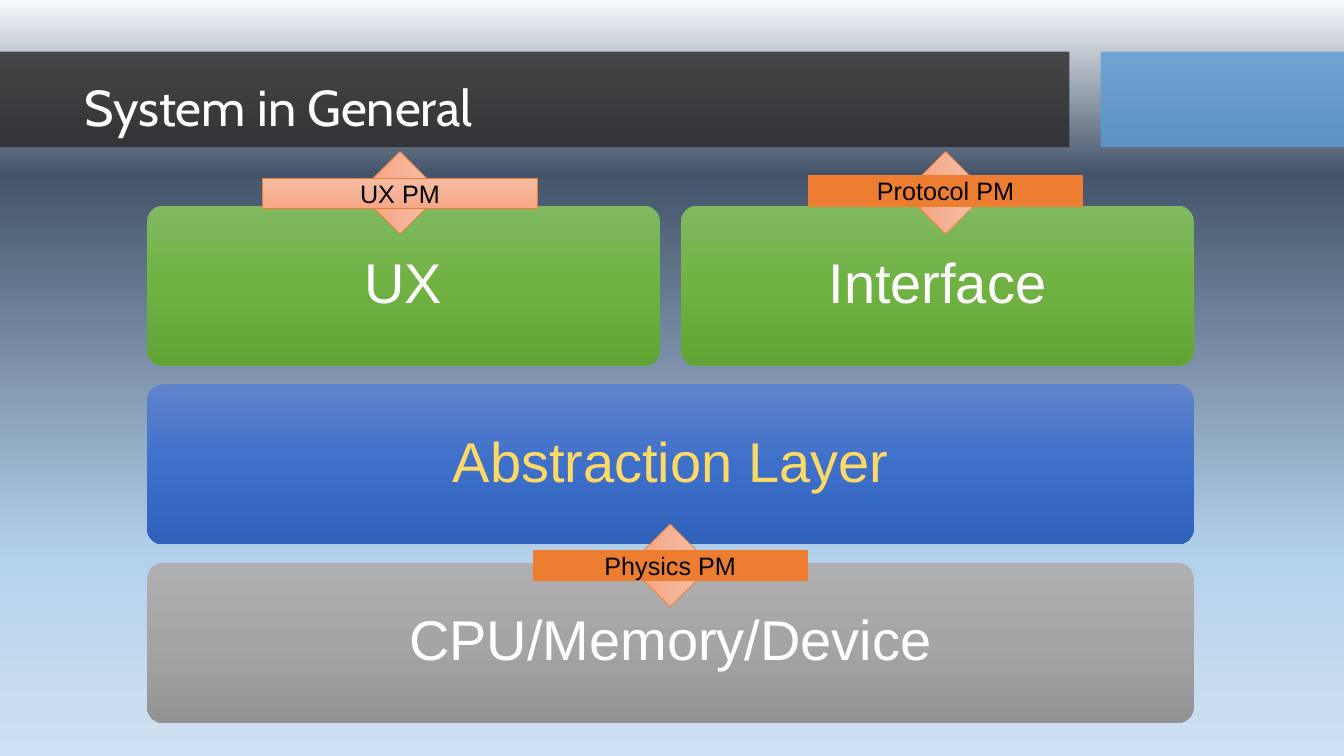
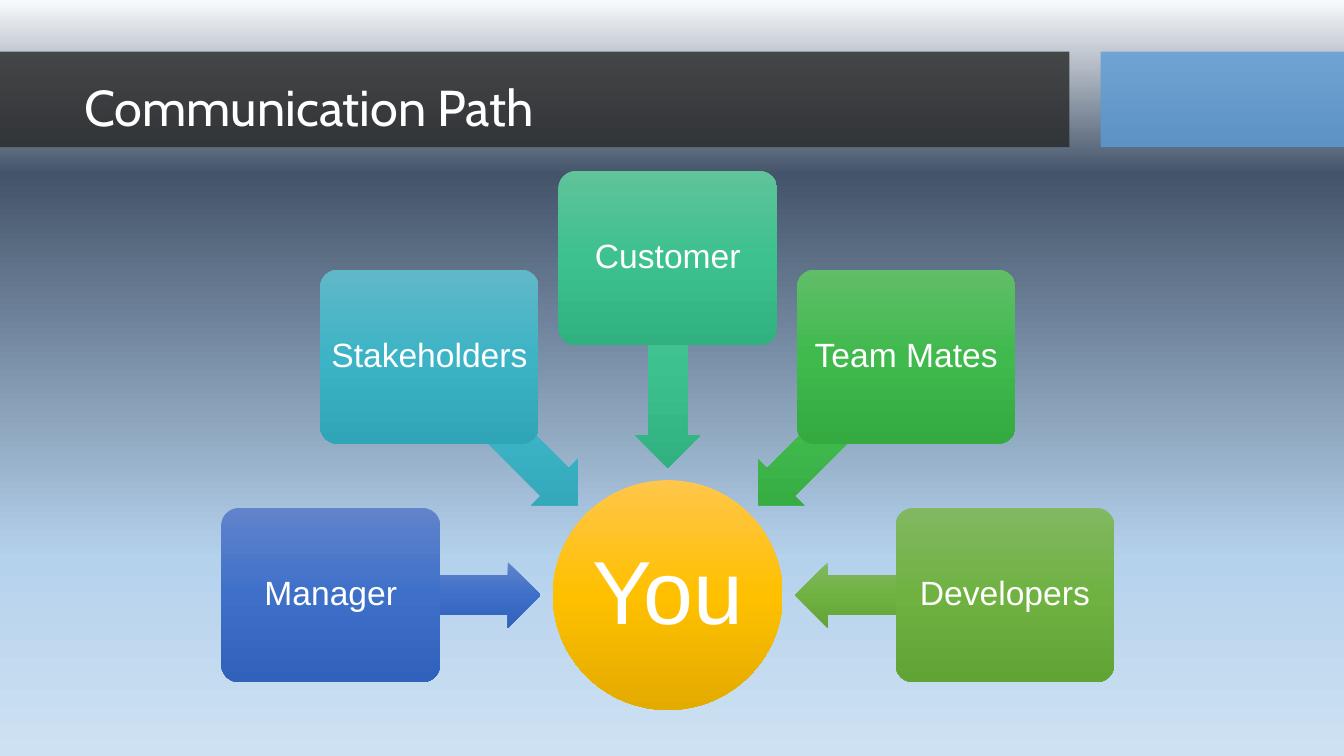
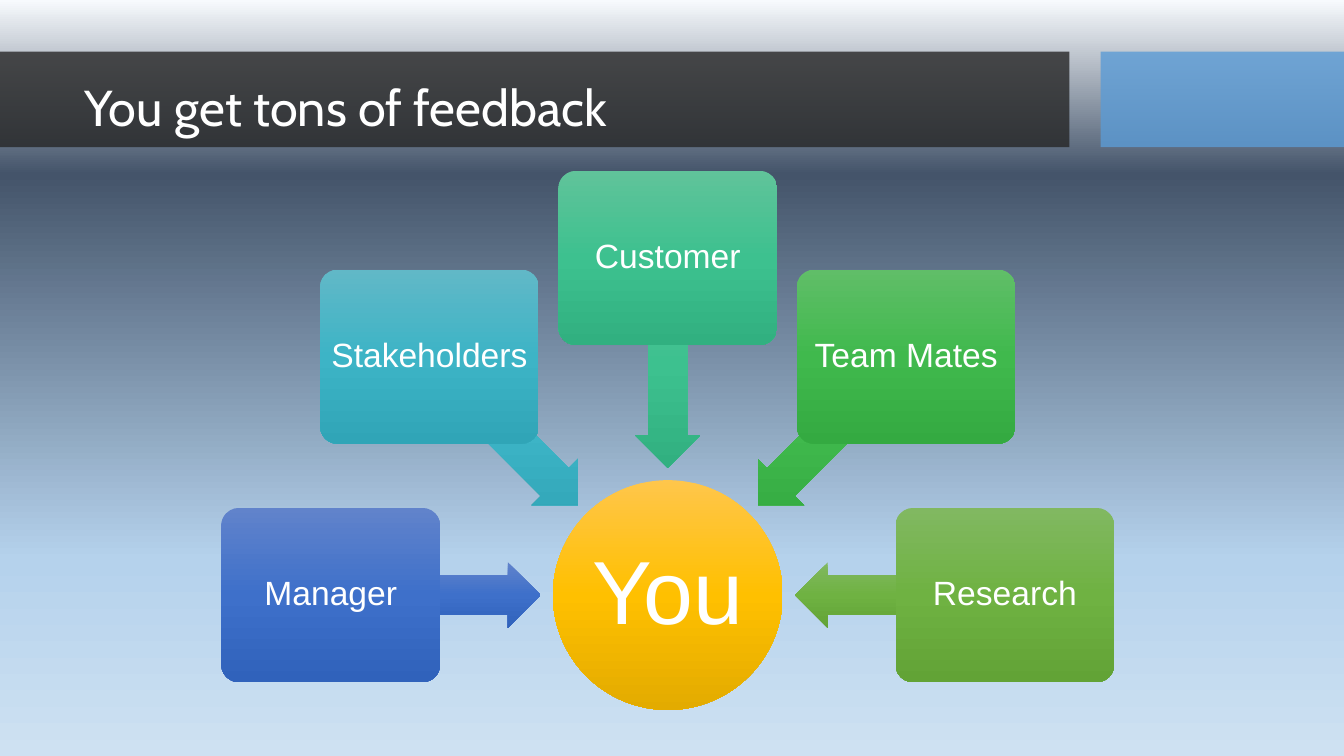
import math

from lxml import etree
from pptx import Presentation
from pptx import util as u
from pptx.dml import color
from pptx.enum import shapes, text
from pptx.oxml import ns

COLORS = {
    "white": "FFFFFF",
    "black": "000000",
    "gold": "FFD966",
    "orange": "ED7D31",
    "title_band": "262626",
    "accent_band": "5B9BD5",
}
GRADIENTS = {
    "sky": {0: "F7FAFD", 23: "44546A", 74: "B5D2EC", 100: "CEE1F2"},
    "gray": {0: "AFAFAF", 50: "A5A5A5", 100: "939393"},
    "blue": {0: "6183CB", 50: "3E70CA", 100: "3062BB"},
    "teal": {0: "61B8C7", 50: "3DB4C6", 100: "30A5B7"},
    "mint": {0: "60C39A", 50: "3DC18F", 100: "31B080"},
    "emerald": {0: "60BE68", 50: "40B94D", 100: "34AA41"},
    "green": {0: "81B861", 50: "6FB242", 100: "62A336"},
    "amber": {0: "FFC64B", 50: "FFC000", 100: "E3AB00"},
    "peach": {0: "F7BDA5", 50: "F5B196", 100: "F8A582"},
}
FONTS = {
    "title": {"name": "Cabin", "size": u.Pt(36)},
    "layer": {"name": "Arial", "size": u.Pt(40)},
    "hub": {"name": "Arial", "size": u.Pt(64)},
    "node": {"name": "Arial", "size": u.Pt(24)},
    "tag": {"name": "Arial", "size": u.Pt(18)},
}
FRAME = {
    "word_wrap": True,
    "vertical_anchor": text.MSO_ANCHOR.MIDDLE,
    "margin_left": 0,
    "margin_right": 0,
    "margin_top": 0,
    "margin_bottom": 0,
}
KINDS = shapes.MSO_SHAPE
DIAGRAM_BOX = (5.58, 4.29, 22.5, 13.6)
LAYERS_BOX = (3.71, 5.18, 26.37, 13.04)


def rgb(name):
    return color.RGBColor.from_string(COLORS[name])


def set_attributes(target, values):
    for name, value in values.items():
        setattr(target, name, value)


def fill_gradient(fill, element, name, turns="0"):
    fill.gradient()
    fill.gradient_angle = 270
    stops = element.find(".//" + ns.qn("a:gsLst"))
    stops.getparent().set("rotWithShape", turns)
    for stop in list(stops):
        stops.remove(stop)
    for position, value in GRADIENTS[name].items():
        stop = etree.SubElement(stops, ns.qn("a:gs"), pos=str(position * 1000))
        etree.SubElement(stop, ns.qn("a:srgbClr"), val=value)


def write(shape, words, font, ink="white", align=text.PP_ALIGN.CENTER, spacing=0.9):
    set_attributes(shape.text_frame, FRAME)
    paragraph = shape.text_frame.paragraphs[0]
    paragraph.text = words
    set_attributes(paragraph, {"alignment": align, "line_spacing": spacing})
    set_attributes(paragraph.font, FONTS[font])
    paragraph.font.color.rgb = rgb(ink)


def add_block(slide, kind, box, fill, line=None, turns="0", adjust=(), rotation=0):
    shape = slide.shapes.add_shape(kind, *map(u.Cm, box))
    shape.shadow.inherit = False
    shape.rotation = rotation
    for index, value in enumerate(adjust):
        shape.adjustments[index] = value
    if fill in GRADIENTS:
        fill_gradient(shape.fill, shape.element, fill, turns)
    else:
        shape.fill.solid()
        shape.fill.fore_color.rgb = rgb(fill)
    if line:
        shape.line.color.rgb = rgb(line)
        shape.line.width = u.Pt(0.5)
    else:
        shape.line.fill.background()
    return shape


def centred(x, y, width, height):
    return x - width / 2, y - height / 2, width, height


def add_header(slide, title):
    bands = (("title_band", 0, 26.95), ("accent_band", 27.74, 6.13))
    for name, left, width in bands:
        band = add_block(slide, KINDS.RECTANGLE, (left, 1.3, width, 2.41), name)
        tint = band.element.spPr.find(".//" + ns.qn("a:srgbClr"))
        etree.SubElement(tint, ns.qn("a:alpha"), val="80000")
    box = slide.shapes.add_textbox(*map(u.Cm, (2.13, 1.27, 26.2, 3)))
    write(box, title, "title", align=text.PP_ALIGN.LEFT)


def add_layers(slide, box, rows):
    left, top, width, height = box
    column_gap, row_gap = 0.54, 0.46
    row_height = (height - row_gap * (len(rows) - 1)) / len(rows)
    for row, (fill, ink, labels) in enumerate(rows):
        cell_width = (width - column_gap * (len(labels) - 1)) / len(labels)
        y = top + row * (row_height + row_gap)
        for column, label in enumerate(labels):
            x = left + column * (cell_width + column_gap)
            layer = add_block(slide, KINDS.ROUNDED_RECTANGLE,
                              (x, y, cell_width, row_height), fill, adjust=(0.1,))
            write(layer, label, "layer", ink)


def add_managers(slide, box, managers):
    left, top = box[:2]
    for _, x, y, _, _ in managers:
        add_block(slide, KINDS.LEFT_RIGHT_ARROW, centred(left + x, top + y, 2.08, 1.52),
                  "peach", "orange", turns="1", rotation=90)
    for label, x, y, shift, fill in managers:
        tag = add_block(slide, KINDS.RECTANGLE,
                        centred(left + x, top + y + shift, 6.91, 0.76), fill, "orange")
        write(tag, label, "tag", "black", spacing=1)


def add_radial(slide, box, hub_label, nodes):
    left, top, width, height = box
    hub_size, node_width, node_height = 5.79, 5.51, 4.39
    hub_x, hub_y = left + width / 2, top + height - hub_size / 2
    node_radius, arrow_radius = (width - node_width) / 2, 5.86
    hub = add_block(slide, KINDS.OVAL, centred(hub_x, hub_y, hub_size, hub_size), "amber")
    write(hub, hub_label, "hub")
    for index, (label, fill) in enumerate(nodes):
        angle = 180 + 180 * index / (len(nodes) - 1)
        across, down = math.cos(math.radians(angle)), math.sin(math.radians(angle))
        add_block(slide, KINDS.LEFT_ARROW,
                  centred(hub_x + arrow_radius * across, hub_y + arrow_radius * down, 5.31, 1.65),
                  fill, adjust=(0.6, 0.5), rotation=angle % 360)
        node = add_block(slide, KINDS.ROUNDED_RECTANGLE,
                         centred(hub_x + node_radius * across, hub_y + node_radius * down,
                                 node_width, node_height), fill, adjust=(0.1,))
        write(node, label, "node")


def add_slide(presentation):
    return presentation.slides.add_slide(presentation.slide_layouts[6])


def add_system_slide(presentation):
    slide = add_slide(presentation)
    add_layers(slide, LAYERS_BOX, (
        ("green", "white", ("UX", "Interface")),
        ("blue", "gold", ("Abstraction Layer",)),
        ("gray", "white", ("CPU/Memory/Device",)),
    ))
    add_header(slide, "System in General")
    add_managers(slide, LAYERS_BOX, (
        ("UX PM", 6.37, -0.32, 0.02, "peach"),
        ("Protocol PM", 20.12, -0.32, -0.05, "orange"),
        ("Physics PM", 13.18, 9.07, 0, "orange"),
    ))


def add_people_slide(presentation, title, last_person):
    slide = add_slide(presentation)
    add_radial(slide, DIAGRAM_BOX, "You", (
        ("Manager", "blue"),
        ("Stakeholders", "teal"),
        ("Customer", "mint"),
        ("Team Mates", "emerald"),
        (last_person, "green"),
    ))
    add_header(slide, title)


def main():
    presentation = Presentation()
    set_attributes(presentation, {"slide_width": u.Cm(33.87), "slide_height": u.Cm(19.05)})
    master = presentation.slide_master
    fill_gradient(master.background.fill, master.element, "sky")
    add_system_slide(presentation)
    add_people_slide(presentation, "Communication Path", "Developers")
    add_people_slide(presentation, "You get tons of feedback", "Research")
    presentation.save("out.pptx")


if __name__ == "__main__":
    main()
